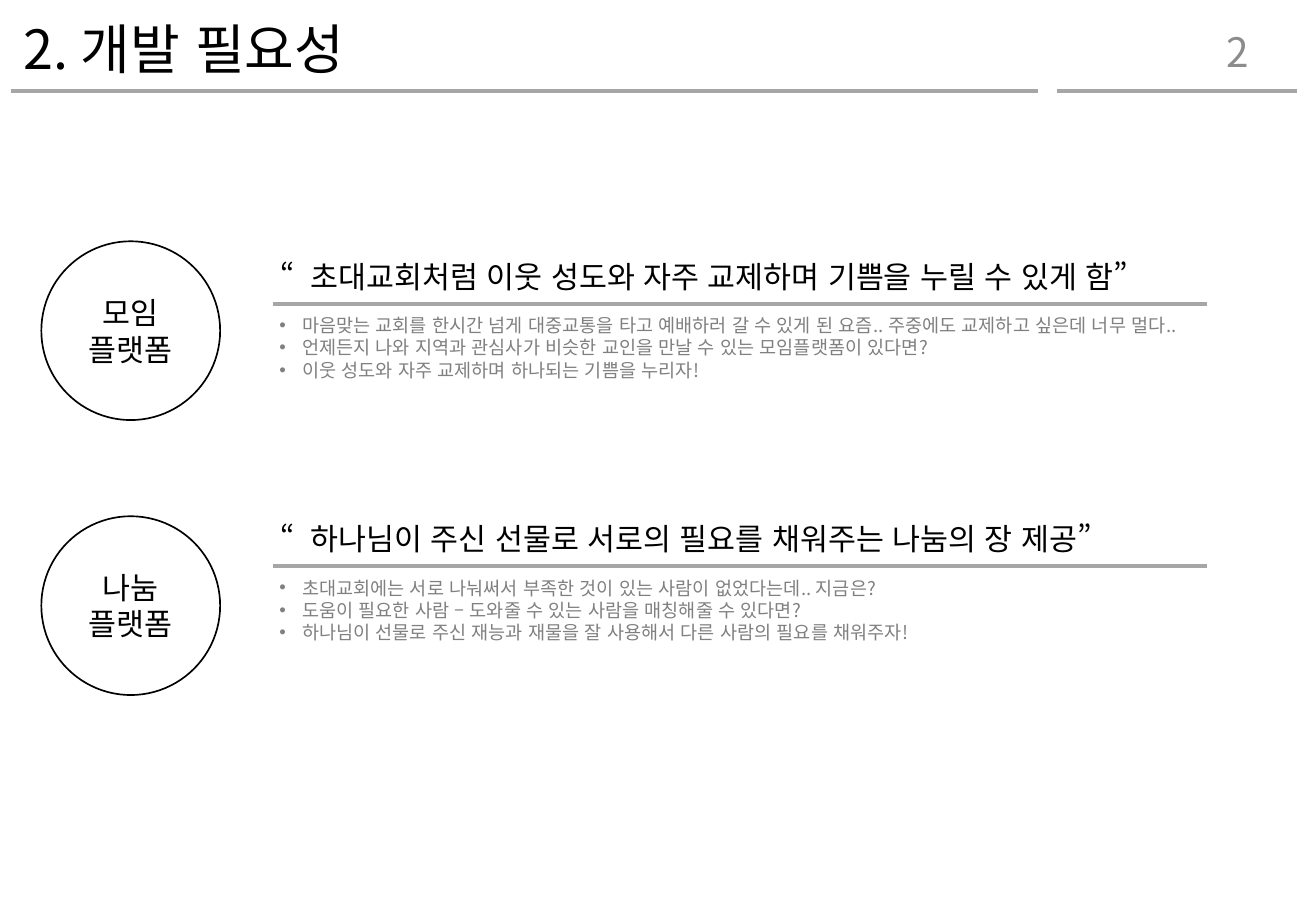
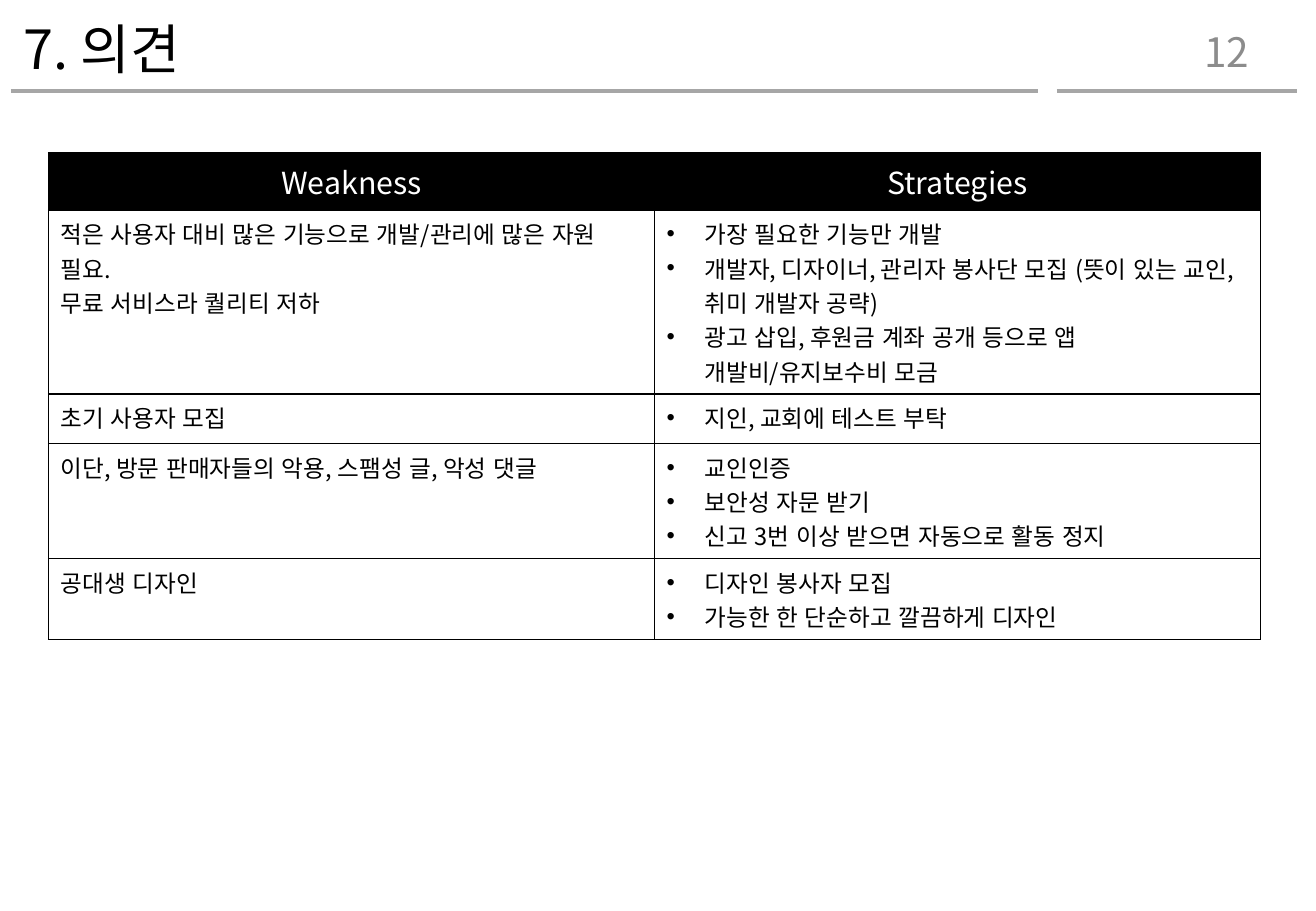
import copy
from dataclasses import dataclass
from lxml import etree
from pptx import Presentation
from pptx import util as u
from pptx.dml import color
from pptx.enum import lang, shapes, text
from pptx.oxml import ns

Pt = u.Pt
LEFT, MID, RIGHT = text.PP_ALIGN.LEFT, text.PP_ALIGN.CENTER, text.PP_ALIGN.RIGHT


@dataclass(frozen=True)
class Theme:
    font: str = "Noto Sans CJK KR"
    ink: str = "000000"
    paper: str = "FFFFFF"
    rule: str = "A6A6A6"
    page: str = "8C8C8C"
    note: str = "808080"
    title: float = 32
    number: float = 24
    head: float = 18
    cell: float = 14
    small: float = 11
    thick: float = 2.25
    thin: float = 1
    gap: float = 9.5


T = Theme()
SIZE = (780, 540)
TITLE = (6.7, 6.9, 663, 48.2)
NUMBER = (577.5, 15.8, 170, 28.8)
RULES = [(6.5, 615), (626.4, 769)]
RULE_Y = 54

NEEDS = [
    {
        "name": "모임 플랫폼",
        "disc": 143,
        "rule": 180,
        "head": "“초대교회처럼 이웃 성도와 자주 교제하며 기쁨을 누릴 수 있게 함”",
        "notes": [
            "마음맞는 교회를 한시간 넘게 대중교통을 타고 예배하러 갈 수 있게 된 요즘.. 주중에도 교제하고 싶은데 너무 멀다..",
            "언제든지 나와 지역과 관심사가 비슷한 교인을 만날 수 있는 모임플랫폼이 있다면?",
            "이웃 성도와 자주 교제하며 하나되는 기쁨을 누리자!",
        ],
    },
    {
        "name": "나눔 플랫폼",
        "disc": 306,
        "rule": 335.5,
        "head": "“하나님이 주신 선물로 서로의 필요를 채워주는 나눔의 장 제공”",
        "notes": [
            "초대교회에는 서로 나눠써서 부족한 것이 있는 사람이 없었다는데.. 지금은?",
            "도움이 필요한 사람 – 도와줄 수 있는 사람을 매칭해줄 수 있다면?",
            "하나님이 선물로 주신 재능과 재물을 잘 사용해서 다른 사람의 필요를 채워주자!",
        ],
    },
]

HEADS = ["Weakness", "Strategies"]
HIGHS = [33.8, 109, 29.4, 68.3, 48]
VIEWS = [
    (["적은 사용자 대비 많은 기능으로 개발/관리에 많은 자원 필요.", "무료 서비스라 퀄리티 저하"],
     ["가장 필요한 기능만 개발",
      "개발자, 디자이너, 관리자 봉사단 모집 (뜻이 있는 교인, 취미 개발자 공략)",
      "광고 삽입, 후원금 계좌 공개 등으로 앱 개발비/유지보수비 모금"]),
    (["초기 사용자 모집"], ["지인, 교회에 테스트 부탁"]),
    (["이단, 방문 판매자들의 악용, 스팸성 글, 악성 댓글"],
     ["교인인증", "보안성 자문 받기", "신고 3번 이상 받으면 자동으로 활동 정지"]),
    (["공대생 디자인"], ["디자인 봉사자 모집", "가능한 한 단순하고 깔끔하게 디자인"]),
]


def rgb(code):
    return color.RGBColor.from_string(code)


def pts(*vals):
    return [Pt(v) for v in vals]


def sub(node, tag, **attrs):
    return etree.SubElement(node, ns.qn(tag), attrs)


def write(frame, lines, size, ink, align=LEFT, indent=0):
    frame.word_wrap = True
    frame.text = "\n".join(lines)
    for para in frame.paragraphs:
        para.alignment = align
        if indent:
            props = para._p.get_or_add_pPr()
            props.set("marL", str(Pt(indent)))
            props.set("indent", str(-Pt(indent)))
            sub(props, "a:buFont", typeface="Arial")
            sub(props, "a:buChar", char="•")
        for run in para.runs:
            font = run.font
            font.size, font.name = Pt(size), T.font
            font.color.rgb = rgb(ink)
            font.language_id = lang.MSO_LANGUAGE_ID.KOREAN
            sub(run._r.get_or_add_rPr(), "a:ea", typeface=T.font)


def box(slide, area, lines, size, ink, **kind):
    frame = slide.shapes.add_textbox(*pts(*area)).text_frame
    write(frame, lines, size, ink, **kind)
    return frame


def space(frame):
    para = frame.paragraphs[0]
    mark = para.runs[0]
    mark._r.addnext(copy.deepcopy(mark._r))
    rest = para.runs[1]
    mark.text, rest.text = rest.text[:1], rest.text[1:]
    mark._r.get_or_add_rPr().set("spc", str(int(T.gap * 100)))


def rule(slide, start, end, y):
    line = slide.shapes.add_connector(
        shapes.MSO_CONNECTOR.STRAIGHT, *pts(start, y, end, y))
    line.line.color.rgb = rgb(T.rule)
    line.line.width = Pt(T.thick)
    sub(line._element.spPr, "a:effectLst")


def page(deck, title, number):
    slide = deck.slides.add_slide(deck.slide_layouts[5])
    head = slide.shapes.title
    head.left, head.top, head.width, head.height = pts(*TITLE)
    frame = head.text_frame
    write(frame, [title], T.title, T.ink)
    frame.auto_size = text.MSO_AUTO_SIZE.NONE
    frame.vertical_anchor = text.MSO_ANCHOR.MIDDLE
    frame.paragraphs[0].line_spacing = 0.9
    for start, end in RULES:
        rule(slide, start, end, RULE_Y)
    frame = box(slide, NUMBER, [number], T.number, T.page, align=RIGHT)
    frame.vertical_anchor = text.MSO_ANCHOR.MIDDLE
    return slide


def need(slide, item):
    disc = slide.shapes.add_shape(
        shapes.MSO_SHAPE.OVAL, *pts(24.5, item["disc"], 106, 106))
    disc.shadow.inherit = False
    disc.fill.solid()
    disc.fill.fore_color.rgb = rgb(T.paper)
    disc.line.color.rgb = rgb(T.ink)
    disc.line.width = Pt(T.thin)
    frame = disc.text_frame
    frame.margin_left = frame.margin_right = 0
    frame.margin_top = frame.margin_bottom = 0
    frame.vertical_anchor = text.MSO_ANCHOR.MIDDLE
    write(frame, [item["name"]], T.head, T.ink, align=MID)
    y = item["rule"]
    head = box(slide, (159, y - 30.5, 559.5, 29), [item["head"]], T.head, T.ink)
    space(head)
    notes = box(slide, (158.5, y + 2.7, 551.5, 47.5), item["notes"],
                T.small, T.note, indent=13.5)
    for frame in (head, notes):
        frame.auto_size = text.MSO_AUTO_SIZE.SHAPE_TO_FIT_TEXT
    rule(slide, 162, 715.5, y)


def edge(cell):
    props = cell._tc.get_or_add_tcPr()
    for spot, side in enumerate(("a:lnL", "a:lnR", "a:lnT", "a:lnB")):
        line = etree.Element(ns.qn(side), w=str(Pt(T.thin)))
        sub(sub(line, "a:solidFill"), "a:srgbClr", val=T.ink)
        props.insert(spot, line)


def grid(slide):
    table = slide.shapes.add_table(
        len(HIGHS), len(HEADS), *pts(28.8, 90.7, 718.2, sum(HIGHS))).table
    table.first_row = table.horz_banding = False
    for row, high in zip(table.rows, HIGHS):
        row.height = Pt(high)
    for col, head in enumerate(HEADS):
        cell = table.cell(0, col)
        cell.fill.solid()
        cell.fill.fore_color.rgb = rgb(T.ink)
        write(cell.text_frame, [head], T.head, T.paper, align=MID)
        edge(cell)
        for row, view in enumerate(VIEWS, 1):
            cell = table.cell(row, col)
            cell.fill.background()
            write(cell.text_frame, view[col], T.cell, T.ink, indent=22.5 * col)
            edge(cell)


def main():
    deck = Presentation()
    deck.slide_width, deck.slide_height = pts(*SIZE)
    slide = page(deck, "2. 개발 필요성", "2")
    for item in NEEDS:
        need(slide, item)
    grid(page(deck, "7. 의견", "12"))
    deck.save("out.pptx")


if __name__ == "__main__":
    main()
